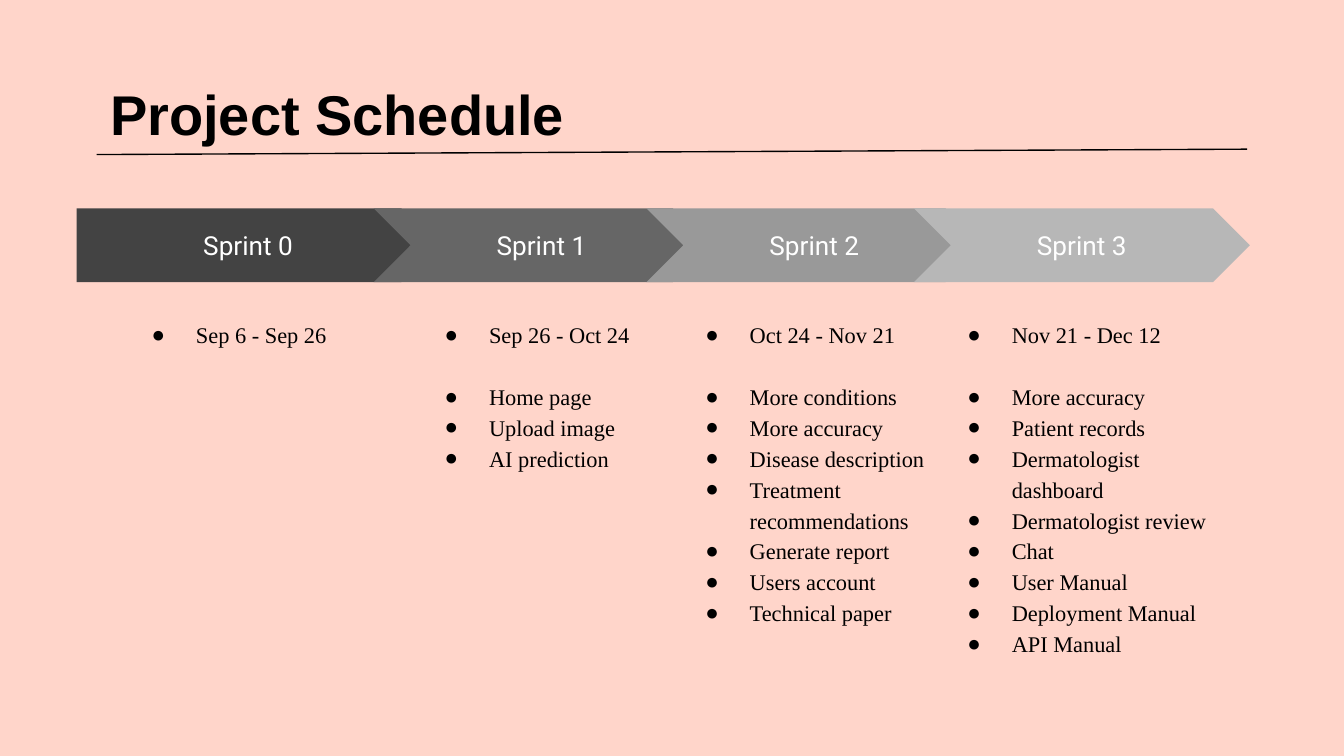
from lxml import etree
from pptx import Presentation
from pptx.dml.color import RGBColor
from pptx.enum.shapes import MSO_CONNECTOR, MSO_SHAPE
from pptx.enum.text import MSO_ANCHOR, MSO_AUTO_SIZE, PP_ALIGN
from pptx.oxml.ns import qn
from pptx.util import Inches, Pt

PENTAGON, CHEVRON = MSO_SHAPE.PENTAGON, MSO_SHAPE.CHEVRON
STRAIGHT = MSO_CONNECTOR.STRAIGHT
TOP, MIDDLE = MSO_ANCHOR.TOP, MSO_ANCHOR.MIDDLE
LEFT, CENTER = PP_ALIGN.LEFT, PP_ALIGN.CENTER
NO_AUTOFIT = MSO_AUTO_SIZE.NONE

PINK = RGBColor(0xFF, 0xD5, 0xCA)
BLACK = RGBColor(0x00, 0x00, 0x00)
WHITE = RGBColor(0xFF, 0xFF, 0xFF)
GRAYS = [RGBColor(v, v, v) for v in (0x43, 0x66, 0x99, 0xB7)]

BANNER_TOP, BANNER_HEIGHT = 1.55, 0.55
TASKS_TOP = 2.26

# Banner left and width, tasks left, width and height, dates, tasks
SPRINTS = [
    ((0.57, 2.69), (0.86, 1.98, 2.14), "Sep 6 - Sep 26", []),
    ((2.78, 2.5), (3.04, 1.85, 2.14), "Sep 26 - Oct 24",
     ["Home page", "Upload image", "AI prediction"]),
    ((4.81, 2.5), (4.98, 2.18, 2.14), "Oct 24 - Nov 21",
     ["More conditions", "More accuracy", "Disease description",
      "Treatment recommendations", "Generate report", "Users account",
      "Technical paper"]),
    ((6.8, 2.5), (6.93, 2.37, 2.5), "Nov 21 - Dec 12",
     ["More accuracy", "Patient records", "Dermatologist dashboard",
      "Dermatologist review", "Chat", "User Manual", "Deployment Manual",
      "API Manual"]),
]


def set_font(paragraph, name, size, color, bold=False):
    for run in paragraph.runs:
        font = run.font
        font.name, font.size, font.bold = name, Pt(size), bold
        font.color.rgb = color


def set_frame(frame, anchor):
    frame.word_wrap = True
    frame.auto_size = NO_AUTOFIT
    frame.vertical_anchor = anchor
    frame.margin_left = frame.margin_right = Inches(0.1)
    frame.margin_top = frame.margin_bottom = Inches(0.1)


def add_bullet(paragraph):
    properties = paragraph._p.get_or_add_pPr()
    properties.set("marL", str(Inches(0.5)))
    properties.set("indent", str(Inches(-0.33)))
    color = etree.SubElement(properties, qn("a:buClr"))
    etree.SubElement(color, qn("a:srgbClr"), val=str(BLACK))
    etree.SubElement(properties, qn("a:buFont"), typeface="Times New Roman")
    etree.SubElement(properties, qn("a:buChar"), char="●")


def place_title(slide, left, top, width, height):
    title = slide.shapes.title
    title.left, title.top = Inches(left), Inches(top)
    title.width, title.height = Inches(width), Inches(height)
    frame = title.text_frame
    frame.text = "Project Schedule"
    set_frame(frame, TOP)
    frame.paragraphs[0].alignment = LEFT
    set_font(frame.paragraphs[0], "Arial", 30, BLACK, bold=True)


def add_banner(slide, left, top, width, height, outline, gray, label):
    banner = slide.shapes.add_shape(
        outline, Inches(left), Inches(top), Inches(width), Inches(height))
    banner.shadow.inherit = False
    banner.adjustments[0] = 0.5
    banner.fill.solid()
    banner.fill.fore_color.rgb = gray
    banner.line.fill.background()
    frame = banner.text_frame
    frame.text = label
    set_frame(frame, MIDDLE)
    frame.paragraphs[0].alignment = CENTER
    set_font(frame.paragraphs[0], "Roboto", 14, WHITE)


def add_tasks(slide, left, top, width, height, dates, tasks):
    box = slide.shapes.add_textbox(
        Inches(left), Inches(top), Inches(width), Inches(height))
    frame = box.text_frame
    frame.text = "\n".join([dates] + tasks)
    set_frame(frame, TOP)
    for index, paragraph in enumerate(frame.paragraphs):
        add_bullet(paragraph)
        paragraph.line_spacing = 1.15
        if index == 1:  # one line of space between dates and tasks
            paragraph.space_before = Pt(16.6)
        set_font(paragraph, "Times New Roman", 12, BLACK)


def add_title_rule(slide, start_x, start_y, end_x, end_y):
    rule = slide.shapes.add_connector(
        STRAIGHT, Inches(start_x), Inches(start_y),
        Inches(end_x), Inches(end_y))
    rule.line.color.rgb = BLACK
    rule.line.width = Pt(0.75)
    etree.SubElement(rule._element.spPr, qn("a:effectLst"))


def main():
    prs = Presentation()
    prs.slide_width = Inches(10)
    prs.slide_height = Inches(10 * 9 / 16)  # 16:9
    slide = prs.slides.add_slide(prs.slide_layouts[5])
    slide.background.fill.solid()
    slide.background.fill.fore_color.rgb = PINK

    # Title
    place_title(slide, 0.72, 0.49, 8.43, 0.63)

    # Sprint columns
    for number, (banner, tasks_box, dates, tasks) in enumerate(SPRINTS):
        banner_left, banner_width = banner
        add_banner(slide, banner_left, BANNER_TOP, banner_width,
                   BANNER_HEIGHT, CHEVRON if number else PENTAGON,
                   GRAYS[number], f"Sprint {number}")
        tasks_left, tasks_width, tasks_height = tasks_box
        add_tasks(slide, tasks_left, TASKS_TOP, tasks_width, tasks_height,
                  dates, tasks)

    # Rule under the title
    add_title_rule(slide, 0.72, 1.15, 9.28, 1.11)
    prs.save("out.pptx")


if __name__ == "__main__":
    main()
